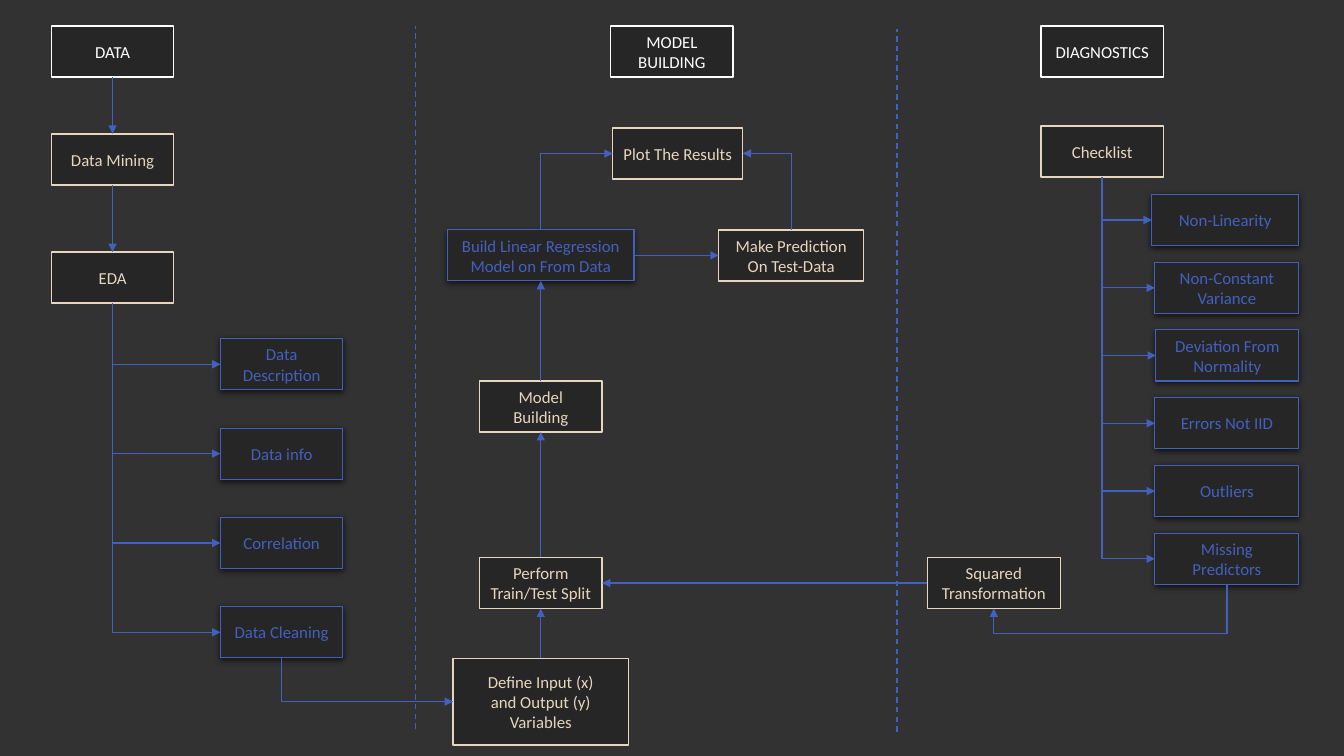
from pptx import Presentation
from pptx.dml.color import RGBColor
from pptx.enum import dml, shapes, text
from pptx.oxml import ns, xmlchemy
from pptx.util import Pt

COLORS = {"back": "323232", "fill": "262626", "head": "FFFFFF",
          "step": "E6D6BD", "leaf": "4260BE", "link": "4260BE", "shadow": "000000"}
WEIGHTS = {"head": 1, "step": 1, "leaf": 0.75}
BOX_W, BOX_H = 87.4, 36.5
LEFT, RIGHT, TOP, BOTTOM = (0, 0.5), (1, 0.5), (0.5, 0), (0.5, 1)


def rgb(name):
    return RGBColor.from_string(COLORS[name])


def sub(parent, tag, **attrs):
    el = xmlchemy.OxmlElement(tag)
    for key, value in attrs.items():
        el.set(key, str(value))
    parent.append(el)
    return el


def put_text(sp, words, size=12, color="step", font="Calibri", align=text.PP_ALIGN.CENTER):
    tf = sp.text_frame
    tf.word_wrap = True
    tf.vertical_anchor = text.MSO_ANCHOR.MIDDLE
    p = tf.paragraphs[0]
    p.text = words
    p.alignment = align
    for r in p.runs:
        r.font.size, r.font.name = Pt(size), font
        r.font.color.rgb = rgb(color)


def node(s, words, cx, y, kind="step", w=BOX_W, h=BOX_H):
    """Draw a box centred on cx; leaf boxes carry a soft shadow."""
    sp = s.shapes.add_shape(shapes.MSO_SHAPE.RECTANGLE, Pt(cx - w / 2), Pt(y), Pt(w), Pt(h))
    sp.fill.solid()
    sp.fill.fore_color.rgb = rgb("fill")
    sp.line.color.rgb = rgb(kind)
    sp.line.width = Pt(WEIGHTS[kind])
    sp.shadow.inherit = False
    if kind == "leaf":
        effects = sp._element.spPr.find(ns.qn("a:effectLst"))
        shadow = sub(effects, "a:outerShdw", blurRad=Pt(4.5), dist=Pt(1.5), dir=5400000,
                     algn="ctr", rotWithShape=0)
        sub(sub(shadow, "a:srgbClr", val=COLORS["shadow"]), "a:alpha", val=63000)
    put_text(sp, words, color=kind)
    return sp


def pin(sp, side):
    return sp.left + sp.width * side[0], sp.top + sp.height * side[1]


def line(s, start, end, arrow=True):
    c = s.shapes.add_connector(shapes.MSO_CONNECTOR.STRAIGHT, *(int(v) for v in (*start, *end)))
    c.line.color.rgb = rgb("link")
    c.line.width = Pt(1)
    if arrow:
        sub(c.line._get_or_add_ln(), "a:tailEnd", type="triangle")
    else:
        c.line.dash_style = dml.MSO_LINE.DASH
    sub(c._element.spPr, "a:effectLst")
    return c


def link(s, a, side_a, b, side_b):
    line(s, pin(a, side_a), pin(b, side_b))


def elbow(s, a, side_a, b, side_b, preset="bentConnector2", adj=None):
    """Leave a vertically and turn: a preset elbow rotated by 270 degrees."""
    (x1, y1), (x2, y2) = pin(a, side_a), pin(b, side_b)
    cx, cy, dx, dy = (x1 + x2) / 2, (y1 + y2) / 2, x2 - x1, y2 - y1
    c = line(s, (cx + dy / 2, cy - dx / 2), (cx - dy / 2, cy + dx / 2))
    c._element.spPr.find(ns.qn("a:xfrm")).set("rot", str(270 * 60000))
    geom = c._element.spPr.find(ns.qn("a:prstGeom"))
    geom.set("prst", preset)
    if adj:
        guides = geom.find(ns.qn("a:avLst"))
        sub(guides, "a:gd", name="adj1", fmla=f"val {round(adj * 100000)}")


def data_column(s, x, y):
    cx = x + BOX_W / 2
    head = node(s, "DATA", cx, y, "head")
    mining = node(s, "Data Mining", cx, y + 77)
    eda = node(s, "EDA", cx, y + 161.4)
    link(s, head, BOTTOM, mining, TOP)
    link(s, mining, BOTTOM, eda, TOP)
    # EDA tasks
    tasks = ["Data Description", "Data info", "Correlation", "Data Cleaning"]
    for i, task in enumerate(tasks):
        leaf = node(s, task, x + 164.5, y + 223.4 + 63.8 * i, "leaf")
        elbow(s, eda, BOTTOM, leaf, LEFT)
    return leaf


def model_column(s, x, y):
    cx = x + 66.6
    node(s, "MODEL BUILDING", x + 160.2, y, "head")
    # Chain from inputs up to the regression
    define = node(s, "Define Input (x)\vand Output (y)\vVariables", cx, y + 451.6, w=125.3, h=62)
    split = node(s, "Perform Train/Test Split", cx, y + 379.6)
    build = node(s, "Model Building", cx, y + 253.5)
    regress = node(s, "Build Linear Regression Model on From Data", cx, y + 145.6, "leaf", w=133.2)
    chain = [define, split, build, regress]
    for a, b in zip(chain, chain[1:]):
        link(s, a, TOP, b, BOTTOM)
    # Prediction and results
    plot = node(s, "Plot The Results", x + 164.4, y + 72.8, w=92.9)
    predict = node(s, "Make Prediction On Test-Data", x + 245.5, y + 145.6, w=103.7)
    link(s, regress, RIGHT, predict, LEFT)
    elbow(s, regress, TOP, plot, LEFT)
    elbow(s, predict, TOP, plot, RIGHT)
    return define, split


def diagnostics_column(s, x, y):
    cx = x + 124.9
    node(s, "DIAGNOSTICS", cx, y, "head")
    checklist = node(s, "Checklist", cx, y + 71.4)
    # Checks share a right edge
    checks = [("Non-Linearity", 105.1), ("Non-Constant Variance", 102.8),
              ("Deviation From Normality", 102.2), ("Errors Not IID", 102.8),
              ("Outliers", 102.8), ("Missing Predictors", 102.8)]
    for i, (check, w) in enumerate(checks):
        leaf = node(s, check, x + 265.4 - w / 2, y + 120.3 + 48.4 * i, "leaf", w=w)
        elbow(s, checklist, BOTTOM, leaf, LEFT)
    # Remedy
    squared = node(s, "Squared Transformation", x + 47.5, y + 379.6, w=95)
    elbow(s, leaf, BOTTOM, squared, BOTTOM, "bentConnector3", adj=2.04)
    return squared


def divider(s, x, y, h=502):
    line(s, (Pt(x), Pt(y + h)), (Pt(x), Pt(y)), arrow=False)


def main():
    prs = Presentation()
    prs.slide_width, prs.slide_height = Pt(960), Pt(540)
    s = prs.slides.add_slide(prs.slide_layouts[6])
    s.background.fill.solid()
    s.background.fill.fore_color.rgb = rgb("back")

    top = 18.6
    divider(s, 296.6, top)
    divider(s, 640.8, top + 2.2)
    cleaning = data_column(s, 36.7, top)
    define, split = model_column(s, 319.7, top)
    squared = diagnostics_column(s, 662.4, top)

    # Links between the columns
    elbow(s, cleaning, BOTTOM, define, LEFT)
    link(s, squared, LEFT, split, RIGHT)
    prs.save("out.pptx")


if __name__ == "__main__":
    main()
